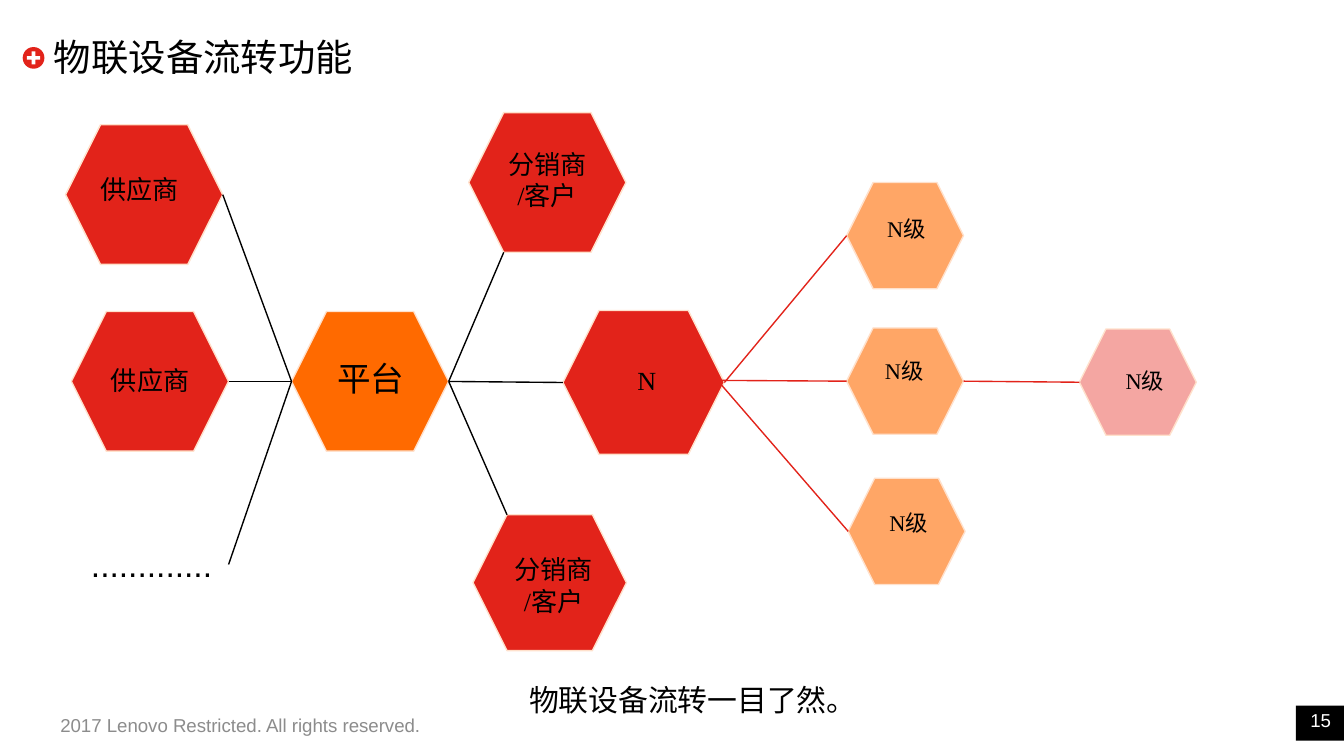
import lxml.etree
import pptx
import pptx.dml.color
import pptx.enum.shapes
import pptx.enum.text
import pptx.oxml.ns
import pptx.util

Cm = pptx.util.Cm
Pt = pptx.util.Pt
Kind = pptx.enum.shapes.MSO_SHAPE
Align = pptx.enum.text.PP_ALIGN
Anchor = pptx.enum.text.MSO_ANCHOR
qn = pptx.oxml.ns.qn

HUES = {
    "red": "E2231A", "orange": "FF6A00", "peach": "FFA666", "pink": "F4A6A2",
    "edge": "FFE1CC", "black": "000000", "white": "FFFFFF", "grey": "8C8C8C",
}
SERIF, SANS, HAN = "Times New Roman", "Arial", "Noto Sans CJK SC"
BIG, SMALL = (2.97, 2.64), (2.21, 2.01)

# name: (left, top, size, hue, label, label box, point size)
NODES = {
    "mid": (16, 6.2, SMALL, "peach", "N级", (16.2, 6.63, 1.78, 0.94), 12),
    "high": (16, 3.45, SMALL, "peach", "N级", (16.1, 3.94, 2.06, 0.94), 12),
    "low": (16.03, 9.04, SMALL, "peach", "N级", (16.22, 9.5, 1.91, 0.94), 12),
    "last": (20.4, 6.22, SMALL, "pink", "N级", (20.6, 6.81, 2.08, 0.76), 12),
    "sell1": (8.86, 2.13, BIG, "red", "分销商\n/客户", (8.95, 2.67, 2.79, 1.45), 14),
    "next": (10.64, 5.87, (3.05, 2.72), "red", "N", (10.83, 6.76, 2.79, 0.86), 14),
    "sell2": (8.94, 9.73, (2.9, 2.57), "red", "分销商\n/客户",
              (9.07, 10.34, 2.79, 1.45), 14),
    "hub": (5.51, 5.89, BIG, "orange", "平台", (5.97, 6.63, 2.08, 1.02), 18),
    "make1": (1.24, 2.36, BIG, "red", "供应商", (1.6, 3.15, 2.08, 0.86), 14),
    "make2": (1.35, 5.89, BIG, "red", "供应商", (1.8, 6.76, 2.08, 0.86), 14),
}


def tint(name):
    return pptx.dml.color.RGBColor.from_string(HUES[name])


def write(shape, text, size=14, font=SANS, hue="black", align=Align.LEFT,
          anchor=Anchor.TOP, inset=(0.25, 0.13)):
    """Put text in a shape, one paragraph a line."""
    frame = shape.text_frame
    frame.word_wrap = True
    frame.auto_size = pptx.enum.text.MSO_AUTO_SIZE.NONE
    frame.vertical_anchor = anchor
    frame.margin_left = frame.margin_right = Cm(inset[0])
    frame.margin_top = frame.margin_bottom = Cm(inset[1])
    frame.text = text
    for para in frame.paragraphs:
        para.alignment = align
        for run in para.runs:
            run.font.size = Pt(size)
            run.font.color.rgb = tint(hue)
            run.font.name = font
            east = lxml.etree.SubElement(run.font._element, qn("a:ea"))
            east.set("typeface", HAN)


def label(slide, box, text, **style):
    write(slide.shapes.add_textbox(*map(Cm, box)), text, **style)


def block(slide, kind, box, hue, edge=None):
    """Add a filled preset shape, with a thin outline if edge is given."""
    shape = slide.shapes.add_shape(kind, *map(Cm, box))
    shape.shadow.inherit = False
    shape.fill.solid()
    shape.fill.fore_color.rgb = tint(hue)
    if edge:
        shape.line.color.rgb = tint(edge)
        shape.line.width = Pt(0.75)
    else:
        shape.line.fill.background()
    return shape


def port(name, side):
    """Give a corner of a hexagon: l, r, or the left end of its top or base."""
    left, top, (wide, high) = NODES[name][:3]
    return {
        "l": (left, top + high / 2),
        "r": (left + wide, top + high / 2),
        "top": (left + high / 4, top),
        "base": (left + high / 4, top + high),
    }[side]


def link(slide, start, end, hue):
    line = slide.shapes.add_connector(
        pptx.enum.shapes.MSO_CONNECTOR.STRAIGHT, *map(Cm, start + end))
    line.line.color.rgb = tint(hue)
    line.line.width = Pt(0.75)
    lxml.etree.SubElement(line._element.spPr, qn("a:effectLst"))


def frame(slide):
    """Add the title, its icon, the footer and the page number."""
    block(slide, Kind.RECTANGLE, (24.49, 13.34, 0.91, 0.66), "black")
    label(slide, (1.14, 13.49, 8.61, 0.84),
          "2017 Lenovo Restricted. All rights reserved.",
          size=10, hue="grey", inset=(0, 0))
    label(slide, (24.49, 13.31, 0.94, 0.51), "15", size=10, hue="white",
          align=Align.CENTER, anchor=Anchor.BOTTOM, inset=(0, 0))
    block(slide, Kind.OVAL, (0.43, 0.89, 0.41, 0.41), "red")
    plus = block(slide, Kind.CROSS, (0.51, 0.97, 0.25, 0.25), "white")
    plus.adjustments[0] = 0.36
    title = slide.shapes.title
    title.left, title.top, title.width, title.height = map(
        Cm, (1.02, 0.53, 13.39, 1.07))
    write(title, "物联设备流转功能", size=20, font=HAN,
          anchor=Anchor.MIDDLE, inset=(0, 0.13))


def graph(slide):
    for left, top, size, hue, *_ in NODES.values():
        block(slide, Kind.HEXAGON, (left, top, *size), hue, "edge")

    hub_in, hub_out = port("hub", "l"), port("hub", "r")
    for start in (port("make1", "r"), port("make2", "r"), (4.32, 10.67)):
        link(slide, start, hub_in, "black")
    for end in (port("sell1", "base"), port("next", "l"), port("sell2", "top")):
        link(slide, hub_out, end, "black")
    fork = (13.56, 7.19)
    for start, name in ((fork, "low"), (fork, "mid"),
                        (port("next", "r"), "high"), (port("mid", "r"), "last")):
        link(slide, start, port(name, "l"), "red")

    for *_, text, box, size in NODES.values():
        label(slide, box, text, size=size, font=SERIF, align=Align.CENTER)
    label(slide, (1.47, 10.16, 2.95, 1.02), ".............", size=18)
    label(slide, (9.75, 12.75, 13.69, 0.94), "物联设备流转一目了然。",
          size=16, font=HAN)


def main():
    deck = pptx.Presentation()
    deck.slide_width, deck.slide_height = Cm(25.4), Cm(14.29)
    slide = deck.slides.add_slide(deck.slide_layouts[5])
    frame(slide)
    graph(slide)
    deck.save("out.pptx")


if __name__ == "__main__":
    main()
